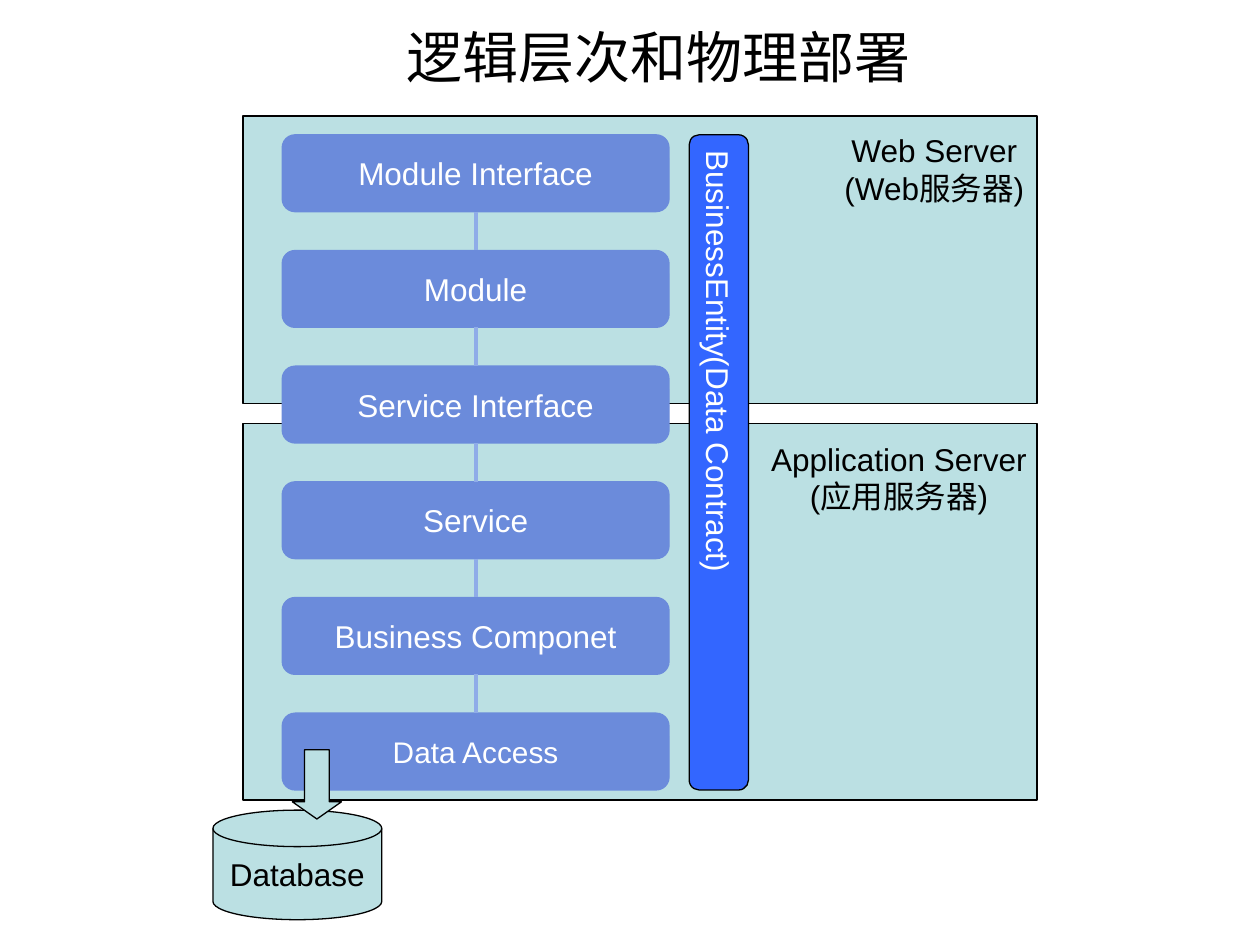
from pptx import Presentation
from pptx.dml.color import RGBColor
from pptx.enum.shapes import MSO_CONNECTOR, MSO_SHAPE
from pptx.enum.text import MSO_ANCHOR, PP_ALIGN
from pptx.oxml.ns import qn
from pptx.util import Inches, Pt

BLACK, WHITE = "000000", "FFFFFF"
PALE, LAYER, LINK, ENTITY = "BBE0E3", "6B8BDB", "8FACE8", "3366FF"
LAYERS = ["Module Interface", "Module", "Service Interface",
          "Service", "Business Componet", "Data Access"]


def rgb(value):
    return RGBColor.from_string(value)


def write(sp, lines, color=BLACK, size=18, anchor=MSO_ANCHOR.MIDDLE, wrap=True):
    tf = sp.text_frame
    tf.word_wrap = wrap
    tf.vertical_anchor = anchor
    tf.text = "\n".join(lines)
    for p in tf.paragraphs:
        p.alignment = PP_ALIGN.CENTER
        p.font.name = "Arial"
        p.font.size = Pt(size)
        p.font.color.rgb = rgb(color)
    return tf


def add_text(s, box, lines, **style):
    sp = s.shapes.add_textbox(*map(Inches, box))
    write(sp, lines, **style)


def add_block(s, kind, box, fill=PALE, line=BLACK):
    sp = s.shapes.add_shape(kind, *map(Inches, box))
    sp.shadow.inherit = False
    sp.fill.solid()
    sp.fill.fore_color.rgb = rgb(fill)
    sp.line.color.rgb = rgb(line)
    sp.line.width = Pt(0.75)
    return sp


def add_link(s, x, top, bottom):
    link = s.shapes.add_connector(MSO_CONNECTOR.STRAIGHT, Inches(x), Inches(top),
                                  Inches(x), Inches(bottom))
    link.line.color.rgb = rgb(LINK)
    link.line.width = Pt(2.25)
    spPr = link._element.spPr
    spPr.append(spPr.makeelement(qn("a:effectLst"), {}))


def add_server(s, box):
    add_block(s, MSO_SHAPE.RECTANGLE, box)


def add_server_label(s, box, lines):
    add_text(s, box, lines, anchor=MSO_ANCHOR.TOP, wrap=False)


def add_layers(s, box):
    left, top, width, height = box
    block_h = 0.61
    pitch = (height - block_h) / (len(LAYERS) - 1)
    for i, name in enumerate(LAYERS):
        y = top + i * pitch
        sp = add_block(s, MSO_SHAPE.ROUNDED_RECTANGLE,
                       (left, y, width, block_h), LAYER, LAYER)
        write(sp, [name], WHITE, 17 if name == "Data Access" else 18)
        if i:
            add_link(s, left + width / 2, y - pitch + block_h, y)


def add_entity(s, box):
    sp = add_block(s, MSO_SHAPE.FLOWCHART_ALTERNATE_PROCESS, box, ENTITY)
    tf = write(sp, ["BusinessEntity(Data Contract)"], WHITE, wrap=False)
    tf.margin_left = tf.margin_right = Inches(0.05)
    tf.margin_top = tf.margin_bottom = Inches(0.1)
    tf._txBody.bodyPr.set("vert", "eaVert")


def add_database(s, box):
    left, top, width, height = box
    arrow_h = 0.55
    disk_h = 0.87
    disk = add_block(s, MSO_SHAPE.FLOWCHART_MAGNETIC_DISK,
                     (left, top + height - disk_h, width, disk_h))
    write(disk, ["Database"], wrap=False)
    arrow = add_block(s, MSO_SHAPE.DOWN_ARROW, (left + 0.63, top, 0.39, arrow_h))
    arrow.adjustments[0] = 0.5
    arrow.adjustments[1] = 0.35


def main():
    prs = Presentation()
    prs.slide_width, prs.slide_height = Inches(10), Inches(7.5)
    s = prs.slides.add_slide(prs.slide_layouts[6])
    add_server(s, (1.93, 3.36, 6.3, 2.99))
    add_server(s, (1.93, 0.92, 6.3, 2.28))
    add_text(s, (0.98, 0.05, 8.5, 0.79), ["逻辑层次和物理部署"], size=32)
    add_layers(s, (2.24, 1.07, 3.07, 5.2))
    add_database(s, (1.69, 5.95, 1.34, 1.35))
    add_server_label(s, (6.54, 0.99, 1.75, 0.7), ["Web Server", "(Web服务器)"])
    add_server_label(s, (6.02, 3.44, 2.23, 0.7), ["Application Server", "(应用服务器)"])
    add_entity(s, (5.47, 1.07, 0.47, 5.2))
    prs.save("out.pptx")


if __name__ == "__main__":
    main()
